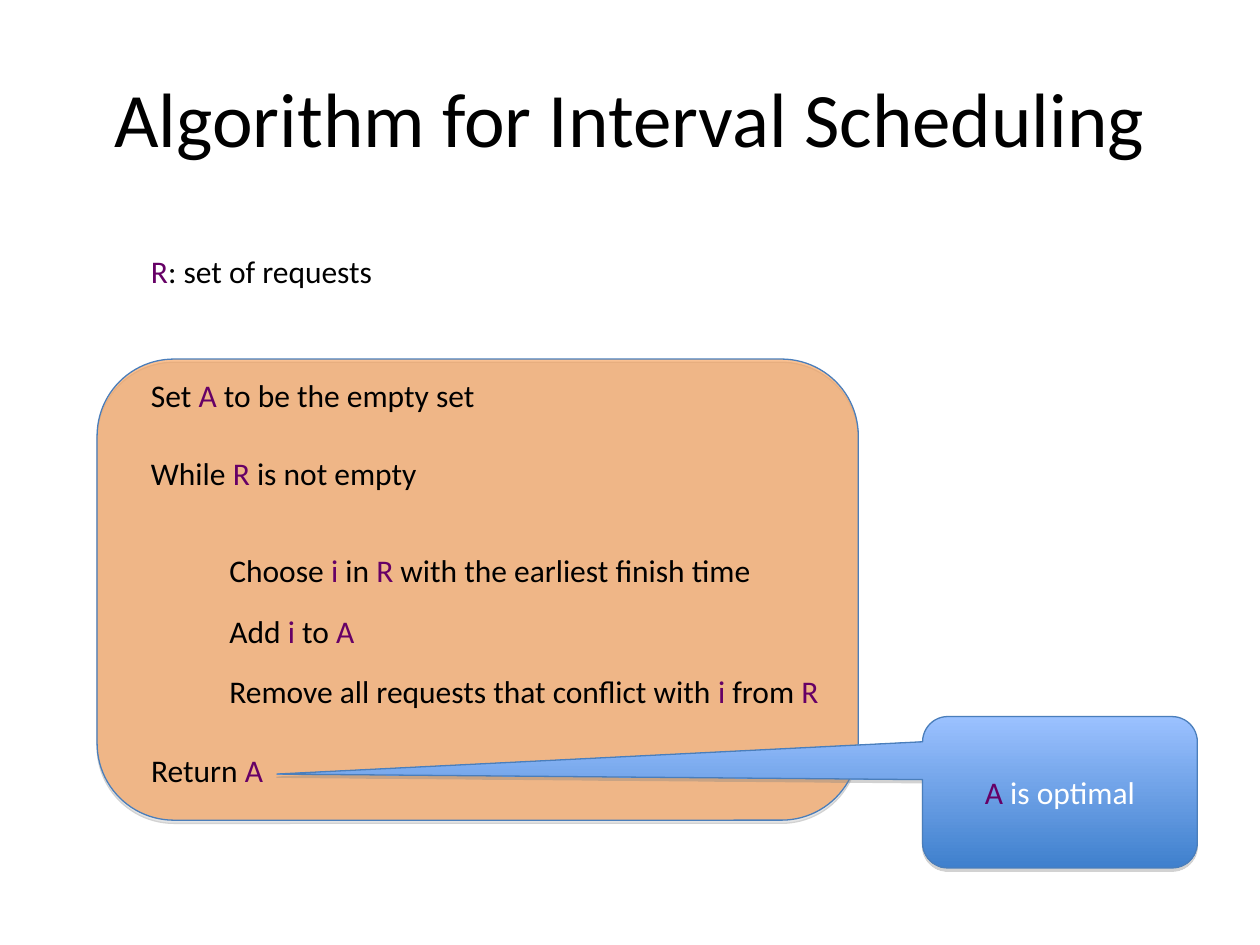
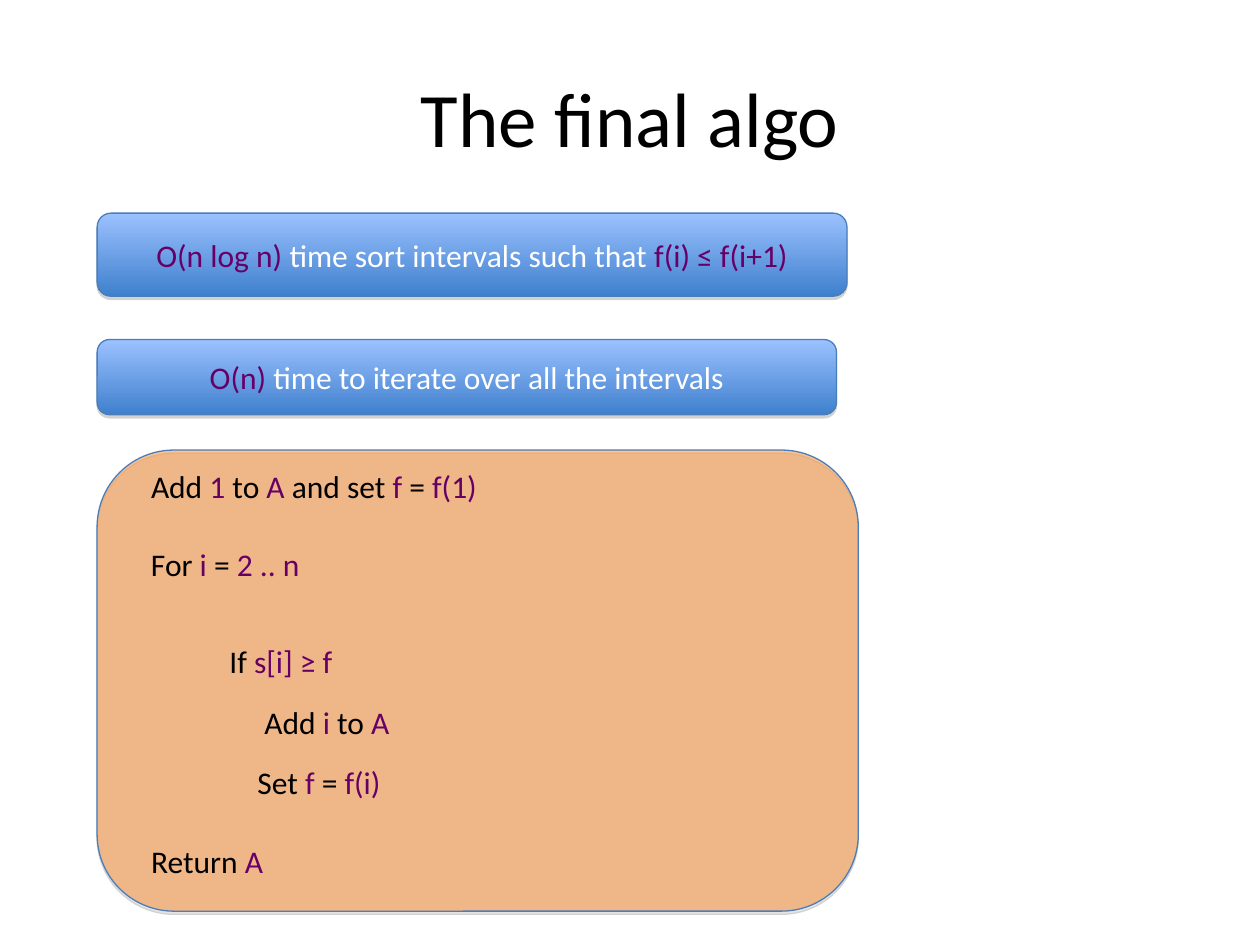
from lxml.etree import SubElement
from pptx import Presentation
from pptx.dml.color import RGBColor
from pptx.enum.shapes import MSO_SHAPE
from pptx.enum.text import MSO_ANCHOR, MSO_AUTO_SIZE, PP_ALIGN
from pptx.oxml.ns import qn
from pptx.util import Pt

rgb = RGBColor.from_string
FONT = "Calibri"
BLACK, WHITE, PURPLE = "000000", "FFFFFF", "660066"
ORANGE, BORDER, SHADOW = "F79646", "4A7EBB", "808080"
BLUES = ("9BC1FF", "3F80CD")
LEFT = 55.5
PANEL_W, PANEL_H = 435, 263.5
STEP_X, INNER_X = 79.2, 124
STEP_OFFSETS = (6, 50.5, 106, 141, 175, 220.5)
LINE_H = 29


def write(s, text, color=BLACK, size=18, align=PP_ALIGN.LEFT):
    """Fill s with text; the parts between bars become purple."""
    tf = s.text_frame
    if align == PP_ALIGN.LEFT:
        tf.word_wrap = False
        tf.auto_size = MSO_AUTO_SIZE.SHAPE_TO_FIT_TEXT
    else:
        tf.word_wrap = True
        tf.vertical_anchor = MSO_ANCHOR.MIDDLE
    p = tf.paragraphs[0]
    p.alignment = align
    for i, part in enumerate(text.split("|")):
        if part:
            r = p.add_run()
            r.text = part
            r.font.name = FONT
            r.font.size = Pt(size)
            r.font.color.rgb = rgb(PURPLE if i % 2 else color)


def add_box(sl, kind, x, y, w, h, text=None):
    """Add a shadowed box: blue gradient with text, translucent orange without."""
    s = sl.shapes.add_shape(kind, Pt(x), Pt(y), Pt(w), Pt(h))
    s.line.color.rgb = rgb(BORDER)
    s.line.width = Pt(0.75)
    if text:
        s.fill.gradient()
        s.fill.gradient_angle = 270
        for stop, color, position in zip(s.fill.gradient_stops, BLUES, (0, 1)):
            stop.color.rgb = rgb(color)
            stop.position = position
        write(s, text, WHITE, align=PP_ALIGN.CENTER)
    else:
        s.fill.solid()
        s.fill.fore_color.rgb = rgb(ORANGE)
        fill_color = s._element.spPr.find(qn("a:solidFill"))[0]
        SubElement(fill_color, qn("a:alpha"), val="59000")
    s.shadow.inherit = False
    effects = s._element.spPr.find(qn("a:effectLst"))
    shadow = SubElement(effects, qn("a:outerShdw"), blurRad="0", dist=str(Pt(1.8)),
                        dir="5400000", rotWithShape="0")
    shadow_color = SubElement(shadow, qn("a:srgbClr"), val=SHADOW)
    SubElement(shadow_color, qn("a:alpha"), val="35000")
    return s


# Each step: text, left edge, width
slides = [
    ("Algorithm for Interval Scheduling", 205.2, [
        ("Set |A| to be the empty set", STEP_X, 199.5),
        ("While |R| is not empty", STEP_X, 166.5),
        ("Choose |i| in |R| with the earliest finish time", INNER_X, 312.5),
        ("Add |i| to |A|", INNER_X, 86),
        ("Remove all requests that conflict with |i| from |R|", INNER_X, 353),
        ("Return |A|", STEP_X, 78.5),
    ]),
    ("The final algo", 257.2, [
        ("Add |1| to |A| and set |f| = |f(1)|", STEP_X, 201),
        ("For |i| = |2 .. n|", STEP_X, 99.5),
        ("If |s[i] ≥ f|", INNER_X, 73.5),
        ("Add |i| to |A|", INNER_X + 20, 86),
        ("Set |f |= |f(i)|", INNER_X + 16, 85),
        ("Return |A|", STEP_X, 78.5),
    ]),
]

prs = Presentation()
prs.slide_width, prs.slide_height = Pt(720), Pt(540)

for title, panel_y, steps in slides:
    sl = prs.slides.add_slide(prs.slide_layouts[6])
    add_box(sl, MSO_SHAPE.ROUNDED_RECTANGLE, LEFT, panel_y, PANEL_W, PANEL_H)
    s = sl.shapes.add_textbox(Pt(36), Pt(21.6), Pt(648), Pt(90))
    write(s, title, size=44, align=PP_ALIGN.CENTER)
    for (text, x, w), offset in zip(steps, STEP_OFFSETS):
        s = sl.shapes.add_textbox(Pt(x), Pt(panel_y + offset), Pt(w), Pt(LINE_H))
        write(s, text)

interval_slide, final_slide = prs.slides

s = interval_slide.shapes.add_textbox(Pt(STEP_X), Pt(140.4), Pt(141), Pt(LINE_H))
write(s, "|R|: set of requests")
callout = add_box(interval_slide, MSO_SHAPE.ROUNDED_RECTANGULAR_CALLOUT,
                  527.2, 409.5, 157, 86.5, "|A| is optimal")
callout.adjustments[0] = -2.85
callout.adjustments[1] = -0.12

for text, y, w, h in [
    ("|O(n log n) |time sort intervals such that |f(i) ≤ f(i+1)|", 121.8, 428.5, 47.5),
    ("|O(n) |time to iterate over all the intervals", 194, 422.5, 43),
]:
    add_box(final_slide, MSO_SHAPE.ROUNDED_RECTANGLE, LEFT, y, w, h, text)

prs.save("out.pptx")
